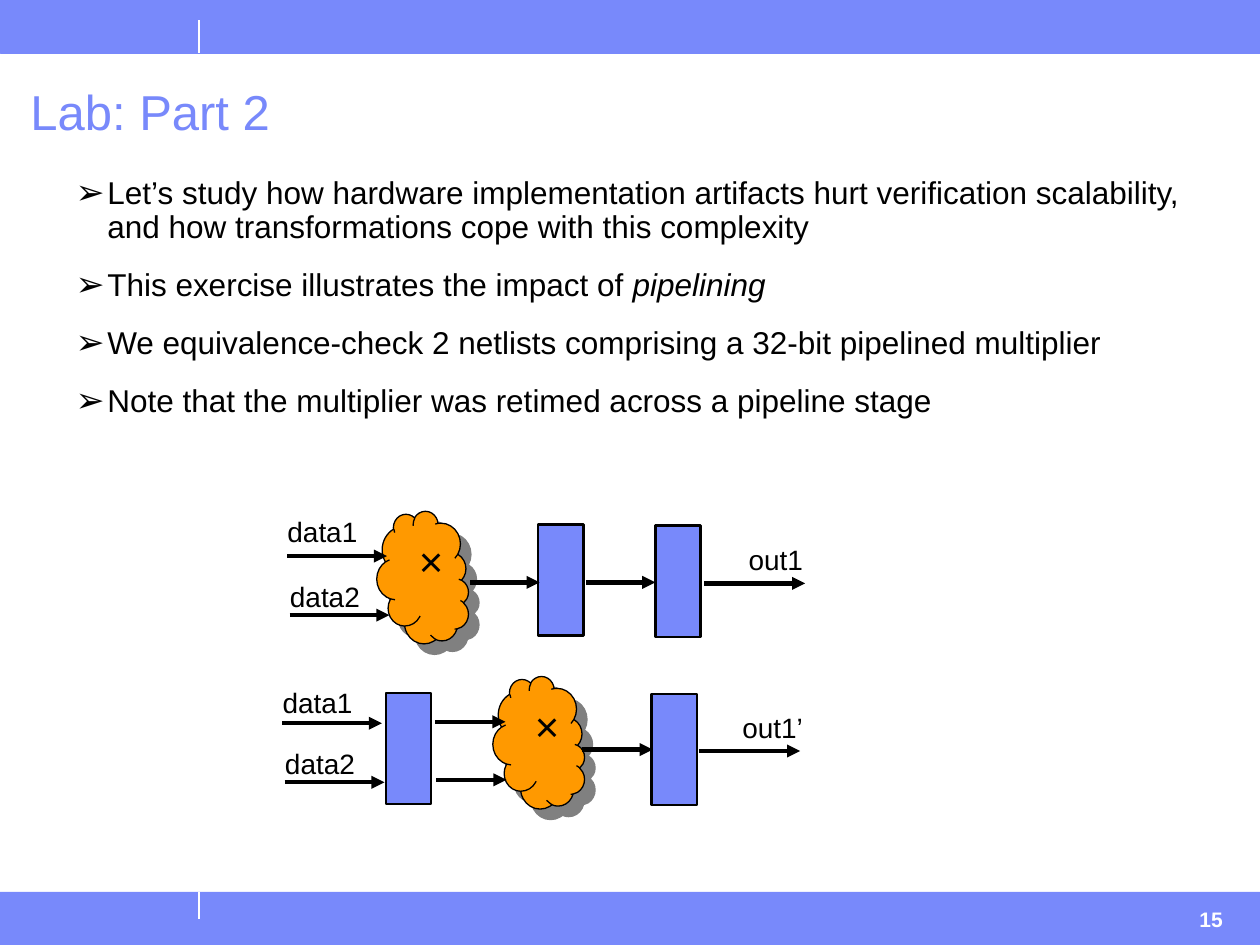
from lxml import etree
from pptx import Presentation
from pptx.dml.color import RGBColor
from pptx.enum.shapes import MSO_CONNECTOR, MSO_SHAPE
from pptx.enum.text import MSO_ANCHOR, MSO_AUTO_SIZE, PP_ALIGN
from pptx.oxml.ns import qn
from pptx.util import Cm, Pt

RECT, CLOUD = MSO_SHAPE.RECTANGLE, MSO_SHAPE.CLOUD
STRAIGHT = MSO_CONNECTOR.STRAIGHT
LEFT, CENTER = PP_ALIGN.LEFT, PP_ALIGN.CENTER
TOP, MIDDLE = MSO_ANCHOR.TOP, MSO_ANCHOR.MIDDLE
FIT, FIXED = MSO_AUTO_SIZE.SHAPE_TO_FIT_TEXT, MSO_AUTO_SIZE.NONE

BLUE = RGBColor(0x78, 0x89, 0xFB)
ORANGE = RGBColor(0xFF, 0x99, 0x00)
GRAY = RGBColor(0x80, 0x80, 0x80)
BLACK = RGBColor(0, 0, 0)
WHITE = RGBColor(0xFF, 0xFF, 0xFF)

WIDE, HIGH = 25.4, 19.05
BAND = 1.07

POINTS = [
    [("Let’s study how hardware implementation artifacts hurt verification "
      "scalability, and how transformations cope with this complexity", False)],
    [("This exercise illustrates the impact of ", False), ("pipelining", True)],
    [("We equivalence-check 2 netlists comprising a 32-bit pipelined multiplier", False)],
    [("Note that the multiplier was retimed across a pipeline stage", False)],
]

# Netlist parts, in cm from the corner of each row
PLAIN = {
    "cloud": (1.65, 0.48),
    "regs": [(5.31, 0.33), (7.67, 0.36)],
    "wires": [(0.25, 0.97, 2.01), (0.3, 2.16, 2.01), (3.94, 1.5, 1.4),
              (6.27, 1.5, 1.4), (8.66, 1.52, 2.03)],
    "labels": [("data1", 0, 0, 1.92), ("data2", 0.05, 1.32, 1.92),
               ("out1", 9.3, 0.58, 1.6)],
}
RETIMED = {
    "cloud": (4.09, 0.36),
    "regs": [(2.34, 0.28), (7.7, 0.3)],
    "wires": [(0.25, 0.89, 2.01), (0.3, 2.08, 2.01), (3.33, 0.86, 1.42),
              (3.35, 2.03, 1.42), (6.3, 1.42, 1.42), (8.66, 1.45, 2.03)],
    "labels": [("data1", 0, 0, 1.92), ("data2", 0.05, 1.24, 1.92),
               ("out1’", 9.27, 0.51, 1.73)],
}


def apply(item, form):
    for key, value in form.items():
        setattr(item, key, value)


def style(font, size, color, **form):
    apply(font, {"name": "Arial", "size": Pt(size), **form})
    font.color.rgb = color


def place(shape, box):
    apply(shape, dict(zip(("left", "top", "width", "height"), map(Cm, box))))


def add_form(slide, kind, box, fill, edge, width):
    shape = slide.shapes.add_shape(kind, *map(Cm, box))
    shape.shadow.inherit = False
    shape.fill.solid()
    shape.fill.fore_color.rgb = fill
    shape.line.color.rgb = edge
    shape.line.width = Pt(width)
    return shape


def add_line(slide, start, end, color, width, arrow=False):
    line = slide.shapes.add_connector(STRAIGHT, *map(Cm, start + end))
    line.line.color.rgb = color
    line.line.width = Pt(width)
    prop = line.element.spPr
    if arrow:
        etree.SubElement(prop.find(qn("a:ln")), qn("a:tailEnd"), type="triangle")
    etree.SubElement(prop, qn("a:effectLst"))


def add_label(slide, text, box, size, color, align, wrap, side=0.25, **form):
    label = slide.shapes.add_textbox(*map(Cm, box))
    frame = label.text_frame
    apply(frame, {"word_wrap": wrap, "auto_size": FIXED if wrap else FIT,
                  "margin_left": Cm(side), "margin_right": Cm(side)})
    para = frame.paragraphs[0]
    apply(para, {"text": text, "alignment": align})
    style(para.runs[0].font, size, color, **form)


def add_bands(slide, box):
    left, top, width, height = box
    base = top + height - BAND
    for y in (top, base):
        add_form(slide, RECT, (left, y, width, BAND), BLUE, BLUE, 0.25)
    # Ticks and page number
    x = left + 4.01
    for start, end in ((top + 0.41, top + BAND), (base, base + 0.54)):
        add_line(slide, (x, start), (x, end), WHITE, 0.75)
    add_label(slide, "15", (left + 23.93, base + 0.18, 1.24, 0.89),
              12, WHITE, LEFT, True, bold=True)


def add_title(slide, box):
    title = slide.shapes.title
    place(title, box)
    frame = title.text_frame
    apply(frame, {"auto_size": FIXED, "vertical_anchor": MIDDLE})
    para = frame.paragraphs[0]
    apply(para, {"text": "Lab: Part 2", "alignment": LEFT, "line_spacing": 0.9})
    style(para.runs[0].font, 28, BLUE)


def add_bullet(para):
    prop = para._p.get_or_add_pPr()
    prop.set("marL", str(Cm(0.64)))
    prop.set("indent", str(-Cm(0.64)))
    color = etree.SubElement(prop, qn("a:buClr"))
    etree.SubElement(color, qn("a:srgbClr"), val=str(BLACK))
    etree.SubElement(prop, qn("a:buSzPct"), val="110000")
    etree.SubElement(prop, qn("a:buChar"), char="➢")


def add_list(slide, box):
    body = slide.placeholders[1]
    place(body, box)
    frame = body.text_frame
    apply(frame, {"auto_size": FIXED, "vertical_anchor": TOP})
    for index, parts in enumerate(POINTS):
        para = frame.add_paragraph() if index else frame.paragraphs[0]
        add_bullet(para)
        apply(para, {"line_spacing": 0.9, "space_after": Pt(6.8),
                     "space_before": Pt(6.8 if index else 0)})
        for text, slant in parts:
            run = para.add_run()
            run.text = text
            style(run.font, 18, BLACK, italic=slant)


def add_cloud(slide, box):
    cloud = add_form(slide, CLOUD, box, ORANGE, BLACK, 0.75)
    cloud.rotation = 90
    # Hard shadow to the lower right
    effect = cloud.element.spPr.find(qn("a:effectLst"))
    shade = etree.SubElement(effect, qn("a:outerShdw"), dist=str(Pt(8.5)),
                             dir="2700000", algn="ctr", rotWithShape="0")
    etree.SubElement(shade, qn("a:srgbClr"), val=str(GRAY))
    # Upright multiply sign
    frame = cloud.text_frame
    apply(frame, {"vertical_anchor": TOP, "margin_left": Cm(0.13), "margin_right": Cm(0.13),
                  "margin_top": Cm(0.25), "margin_bottom": Cm(0.25)})
    prop = cloud.element.txBody.find(qn("a:bodyPr"))
    prop.set("rot", "10800000")
    prop.set("vert", "eaVert")
    para = frame.paragraphs[0]
    apply(para, {"text": "×", "alignment": CENTER})
    style(para.runs[0].font, 24, BLACK)


def add_netlist(slide, left, top, parts):
    x, y = parts["cloud"]
    add_cloud(slide, (left + x, top + y, 2.67, 1.85))
    for x, y in parts["regs"]:
        add_form(slide, RECT, (left + x, top + y, 0.91, 2.24), BLUE, BLACK, 1.5)
    for x, y, size in parts["wires"]:
        add_line(slide, (left + x, top + y), (left + x + size, top + y),
                 BLACK, 2.5, arrow=True)
    # Slim side margins keep each label on one line
    for text, x, y, width in parts["labels"]:
        add_label(slide, text, (left + x, top + y, width, 0.94),
                  16, BLACK, CENTER, False, side=0.15)


def main():
    deck = Presentation()
    apply(deck, {"slide_width": Cm(WIDE), "slide_height": Cm(HIGH)})
    slide = deck.slides.add_slide(deck.slide_layouts[1])
    add_bands(slide, (0, 0, WIDE, HIGH))
    add_title(slide, (0.36, 1.68, 24.97, 1.27))
    add_list(slide, (1.27, 3.45, 23.52, 14.55))
    add_netlist(slide, 5.54, 10.24, PLAIN)
    add_netlist(slide, 5.44, 13.69, RETIMED)
    deck.save("out.pptx")


if __name__ == "__main__":
    main()
